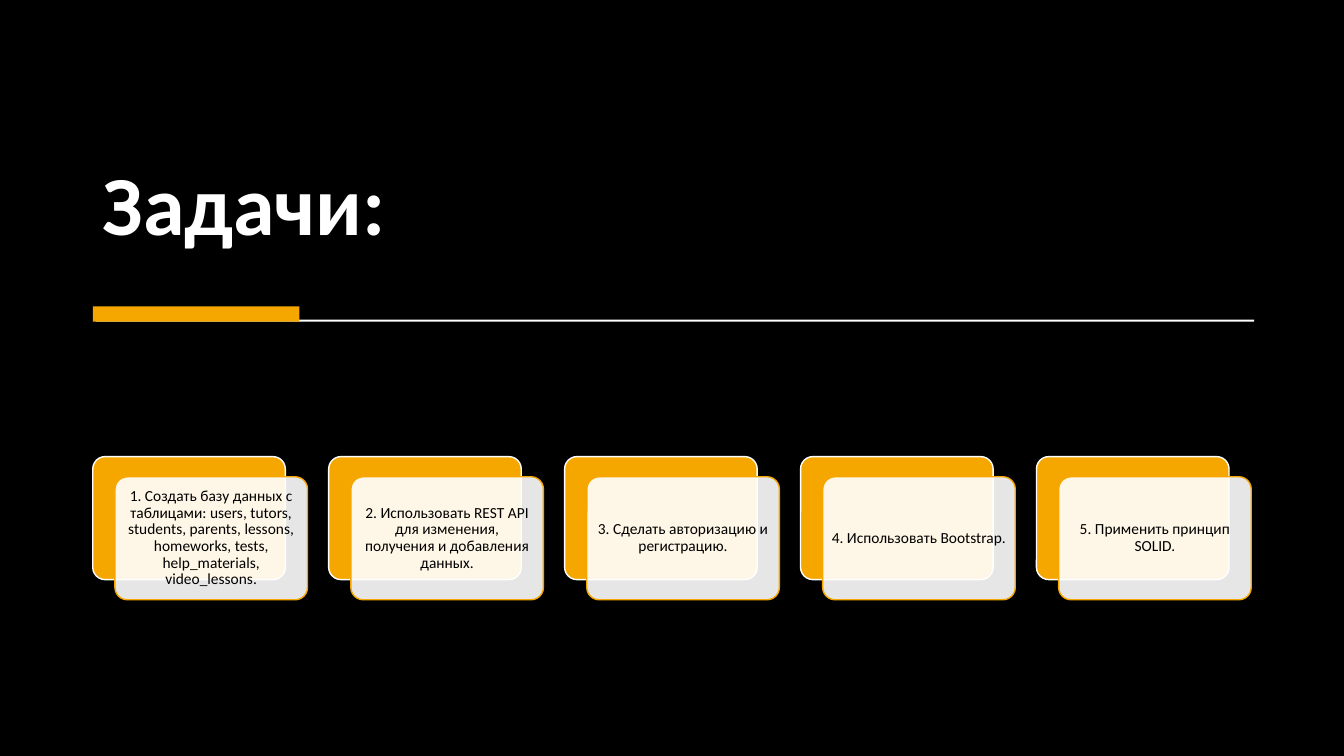
from lxml.etree import SubElement
from pptx import Presentation
from pptx.dml.color import RGBColor
from pptx.enum.shapes import MSO_SHAPE
from pptx.enum.text import MSO_ANCHOR, PP_ALIGN
from pptx.oxml.ns import qn
from pptx.util import Inches, Pt

# Content
TITLE = "Задачи:"
TASKS = [
    "1. Создать базу данных с таблицами: users, tutors, students, parents, "
    "lessons, homeworks, tests, help_materials, video_lessons.",
    "2. Использовать REST API для изменения, получения и добавления данных.",
    "3. Сделать авторизацию и регистрацию.",
    "4. Использовать Bootstrap.",
    "5. Применить принцип SOLID.",
]

# Style and layout, in inches
FONT = "Calibri"
BLACK = RGBColor(0x00, 0x00, 0x00)
WHITE = RGBColor(0xFF, 0xFF, 0xFF)
ORANGE = RGBColor(0xF5, 0xA7, 0x00)
LEFT = 0.92
CARD_TOP, CARD_WIDTH, CARD_HEIGHT = 4.53, 1.91, 1.22
CARD_STEP = 2.34
OFFSET_X, OFFSET_Y = 0.22, 0.2
CARD_INSET = 0.05
FRONT_OPACITY = 90


def add_block(page, kind, left, top, width, height, fill, outline=None):
    block = page.shapes.add_shape(
        kind, Inches(left), Inches(top), Inches(width), Inches(height))
    block.shadow.inherit = False
    block.fill.solid()
    block.fill.fore_color.rgb = fill
    if outline is None:
        block.line.fill.background()
    else:
        block.line.color.rgb = outline
        block.line.width = Pt(1)
    return block


def add_card(page, left, top, fill, outline):
    card = add_block(page, MSO_SHAPE.ROUNDED_RECTANGLE, left, top,
                     CARD_WIDTH, CARD_HEIGHT, fill, outline)
    card.adjustments[0] = 0.1
    return card


def set_opacity(shape, percent):
    color = shape.fill._xPr.find(qn("a:solidFill"))[0]
    SubElement(color, qn("a:alpha")).set("val", str(percent * 1000))


def write(frame, text, size, color, bold=False, align=PP_ALIGN.LEFT):
    frame.word_wrap = True
    para = frame.paragraphs[0]
    para.alignment = align
    para.line_spacing = 0.9
    span = para.add_run()
    span.text = text
    span.font.name = FONT
    span.font.size = Pt(size)
    span.font.bold = bold
    span.font.color.rgb = color


def main():
    deck = Presentation()
    deck.slide_width, deck.slide_height = Inches(13.33), Inches(7.5)
    page = deck.slides.add_slide(deck.slide_layouts[6])
    page.background.fill.solid()
    page.background.fill.fore_color.rgb = BLACK

    # Title
    box = page.shapes.add_textbox(
        Inches(LEFT), Inches(0.47), Inches(11.49), Inches(2.1))
    box.text_frame.vertical_anchor = MSO_ANCHOR.BOTTOM
    write(box.text_frame, TITLE, 60, WHITE, bold=True)

    # Divider with accent bar
    add_block(page, MSO_SHAPE.RECTANGLE, 0.95, 3.17, 11.49, 0.02, WHITE)
    add_block(page, MSO_SHAPE.RECTANGLE, LEFT, 3.04, 2.05, 0.15, ORANGE)

    # Task cards: an orange back and a translucent front with the text
    for index, task in enumerate(TASKS):
        left = LEFT + index * CARD_STEP
        add_card(page, left, CARD_TOP, ORANGE, WHITE)
        front = add_card(page, left + OFFSET_X, CARD_TOP + OFFSET_Y,
                         WHITE, ORANGE)
        set_opacity(front, FRONT_OPACITY)
        frame = front.text_frame
        frame.margin_left = frame.margin_right = Inches(CARD_INSET)
        frame.margin_top = frame.margin_bottom = Inches(CARD_INSET)
        frame.vertical_anchor = MSO_ANCHOR.MIDDLE
        write(frame, task, 11, BLACK, align=PP_ALIGN.CENTER)

    deck.save("out.pptx")


if __name__ == "__main__":
    main()
